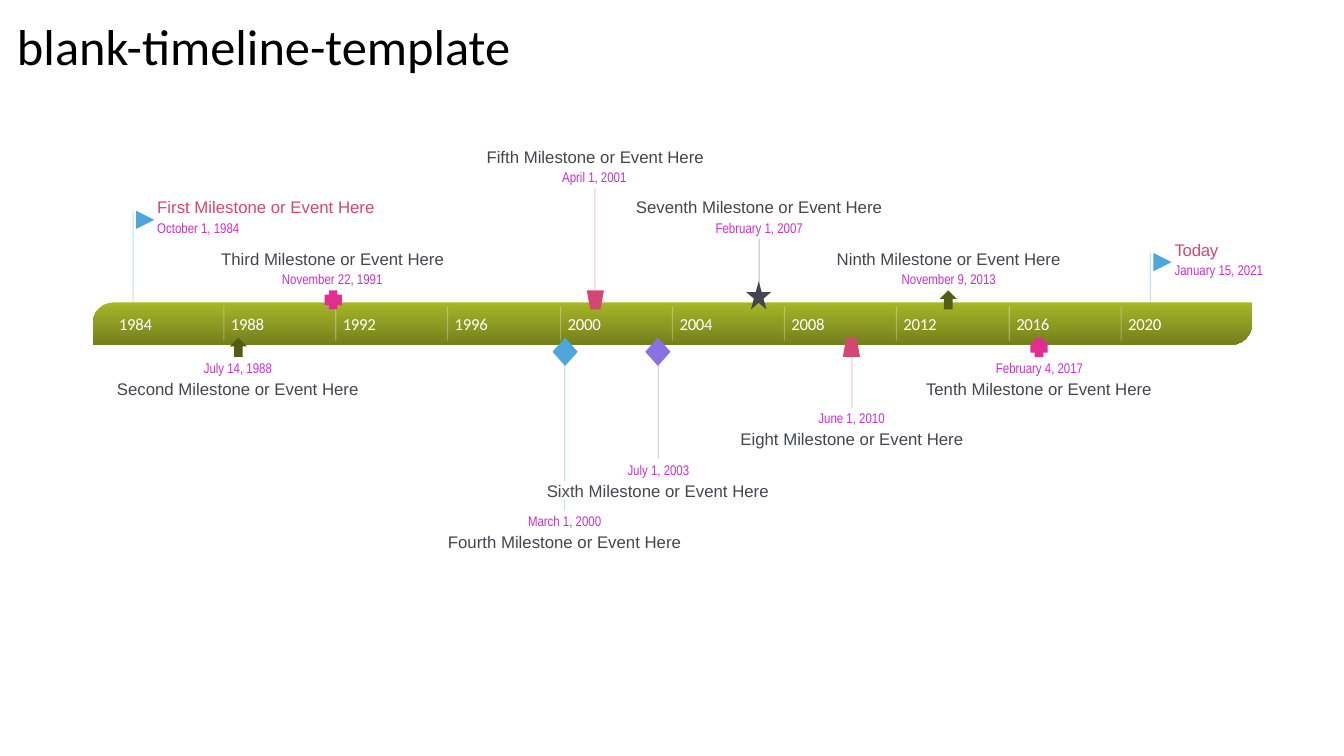
from lxml.etree import SubElement
from pptx import Presentation
from pptx.dml.color import RGBColor
from pptx.enum.shapes import MSO_CONNECTOR, MSO_SHAPE as SHAPE
from pptx.enum.text import MSO_ANCHOR, MSO_AUTO_SIZE as AUTO, PP_ALIGN as ALIGN
from pptx.oxml.ns import qn
from pptx.util import Pt

PX = 9144  # 100 px to the inch

WHITE = RGBColor(0xFF, 0xFF, 0xFF)
BLACK = RGBColor(0x00, 0x00, 0x00)
LIME = RGBColor(0xA6, 0xB7, 0x27)
OLIVE = RGBColor(0x73, 0x7F, 0x1C)
MOSS = RGBColor(0x53, 0x5C, 0x13)
BLUE = RGBColor(0x4E, 0xA6, 0xDC)
VIOLET = RGBColor(0x89, 0x71, 0xE1)
ROSE = RGBColor(0xD5, 0x47, 0x73)
PINK = RGBColor(0xE3, 0x2D, 0x91)
SLATE = RGBColor(0x45, 0x45, 0x51)
MAGENTA = RGBColor(0xC8, 0x30, 0xCC)

BAR_TOP, BAR_HEIGHT = 300, 42
YEAR_LEFT, YEAR_STEP = 117.6, 111.25
SMALL, LARGE = (17, 19), (25, 28)  # marker sizes

# x, top, bottom, colour
STEMS = [
    (845, 344, 405, ROSE), (653, 349, 455, VIOLET),
    (560, 496, 506, BLUE), (560, 349, 477, BLUE),
    (1141, 251, 300, BLUE), (753, 237, 293, SLATE),
    (590, 187, 297, ROSE), (132, 209, 300, BLUE),
]
# title, its width, date, its width, x, title top, letter spacing
FLAGS = [
    ("First Milestone or Event Here", 217, "October 1, 1984", 84, 132, 196, 0),
    ("Today", 46, "January 15, 2021", 91, 1141, 238, -20),
]
# title, its width, date, its width, x, title top, marker, size, colour
ABOVE = [
    ("Third Milestone or Event Here", 222, "November 22, 1991", 103, 330, 247,
     SHAPE.CROSS, SMALL, PINK),
    ("Fifth Milestone or Event Here", 217, "April 1, 2001", 67, 590, 146,
     SHAPE.FLOWCHART_MANUAL_OPERATION, SMALL, ROSE),
    ("Seventh Milestone or Event Here", 246, "February 1, 2007", 90, 753, 196,
     SHAPE.STAR_5_POINT, LARGE, SLATE),
    ("Ninth Milestone or Event Here", 224, "November 9, 2013", 96, 941, 247,
     SHAPE.UP_ARROW, SMALL, MOSS),
]
BELOW = [
    ("Second Milestone or Event Here", 240, "July 14, 1988", 70, 236, 376,
     SHAPE.UP_ARROW, SMALL, MOSS),
    ("Fourth Milestone or Event Here", 232, "March 1, 2000", 76, 560, 528,
     SHAPE.DIAMOND, LARGE, BLUE),
    ("Sixth Milestone or Event Here", 221, "July 1, 2003", 64, 653, 477,
     SHAPE.DIAMOND, LARGE, VIOLET),
    ("Eight Milestone or Event Here", 222, "June 1, 2010", 69, 845, 426,
     SHAPE.FLOWCHART_MANUAL_OPERATION, SMALL, ROSE),
    ("Tenth Milestone or Event Here", 225, "February 4, 2017", 90, 1031, 376,
     SHAPE.CROSS, SMALL, PINK),
]


def emu(*lengths):
    return [round(n) * PX for n in lengths]


class Timeline:
    """Holds the slide and the style of its elements."""

    def __init__(self, slide):
        self.shapes = slide.shapes

    def line(self, x, top, bottom, color, opacity):
        c = self.shapes.add_connector(MSO_CONNECTOR.STRAIGHT, *emu(x, top, x, bottom))
        c.line.color.rgb = color
        c.line.width = Pt(0.75)
        clr = next(c._element.spPr.iter(qn("a:srgbClr")))
        SubElement(clr, qn("a:alpha")).set("val", str(opacity * 1000))
        SubElement(c._element.spPr, qn("a:effectLst"))

    def shape(self, kind, x, y, w, h, color):
        sp = self.shapes.add_shape(kind, *emu(x, y, w, h))
        sp.shadow.inherit = False
        sp.line.fill.background()
        sp.fill.solid()
        sp.fill.fore_color.rgb = color
        return sp

    def text(self, text, x, y, w, h, size, font, color, align=ALIGN.LEFT, spacing=0):
        sp = self.shapes.add_textbox(*emu(x, y, w, h))
        tf = sp.text_frame
        tf.text = text
        tf.word_wrap = True
        tf.auto_size = AUTO.SHAPE_TO_FIT_TEXT
        p = tf.paragraphs[0]
        p.alignment = align
        r = p.runs[0]
        r.font.size = Pt(size)
        r.font.name = font
        r.font.color.rgb = color
        if spacing:
            r._r.get_or_add_rPr().set("spc", str(spacing))
        return tf

    def label(self, *args, **style):
        tf = self.text(*args, **style)
        tf.margin_left = tf.margin_right = tf.margin_top = tf.margin_bottom = 0
        tf.vertical_anchor = MSO_ANCHOR.MIDDLE
        return tf

    def title(self, text, x, y, w, color, **style):
        self.label(text, x, y, w, 19, 12, "Arial", color, **style)

    def date(self, text, x, y, w, **style):
        self.label(text, x, y, w, 16, 10, "Arial Narrow", MAGENTA, **style)

    def bar(self):
        sp = self.shape(SHAPE.ROUND_2_DIAG_RECTANGLE, 92, BAR_TOP, 1150, BAR_HEIGHT, LIME)
        sp.adjustments[0] = 1
        sp.adjustments[1] = 0
        sp.fill.gradient()
        sp.fill.gradient_angle = 270
        for stop, color in zip(sp.fill.gradient_stops, (LIME, OLIVE)):
            stop.color.rgb = color

    def year(self, i):
        x = YEAR_LEFT + i * YEAR_STEP
        if i:
            self.line(x - 7, BAR_TOP + 4, BAR_TOP + BAR_HEIGHT - 4, WHITE, 30)
        tf = self.label(str(1984 + 4 * i), x, 311, 34, 20, 12, "Calibri", WHITE, spacing=-20)
        tf.word_wrap = False
        tf.auto_size = AUTO.NONE

    def flag(self, title, title_w, date, date_w, x, y, spacing):
        self.title(title, x + 24, y, title_w, ROSE, spacing=spacing)
        self.date(date, x + 24, y + 22, date_w)
        self.shape(SHAPE.FLOWCHART_MERGE, x + 3, y + 13, 18, 18, BLUE).rotation = 270

    def milestone(self, title, title_w, date, date_w, x, y, kind, size, color, above):
        w, h = size
        self.title(title, x - title_w / 2, y, title_w, SLATE, align=ALIGN.CENTER)
        self.date(date, x - date_w / 2, y + (22 if above else -19), date_w,
                  align=ALIGN.CENTER)
        sp = self.shape(kind, x - w / 2, 307 - h if above else 335, w, h, color)
        if kind == SHAPE.FLOWCHART_MANUAL_OPERATION and not above:
            sp._element.spPr.get_or_add_xfrm().set("flipV", "1")


def main():
    prs = Presentation()
    prs.slide_width, prs.slide_height = emu(1333, 750)
    s = Timeline(prs.slides.add_slide(prs.slide_layouts[6]))

    # Stems behind everything
    for stem in STEMS:
        s.line(*stem, 35)

    # Bar with its years
    s.bar()
    for i in range(10):
        s.year(i)

    # Flags and milestones
    for flag in FLAGS:
        s.flag(*flag)
    for event in ABOVE:
        s.milestone(*event, above=True)
    for event in BELOW:
        s.milestone(*event, above=False)

    # Slide title
    s.text("blank-timeline-template", 7, 10, 809, 71, 36, "Calibri", BLACK)
    prs.save("out.pptx")


if __name__ == "__main__":
    main()
